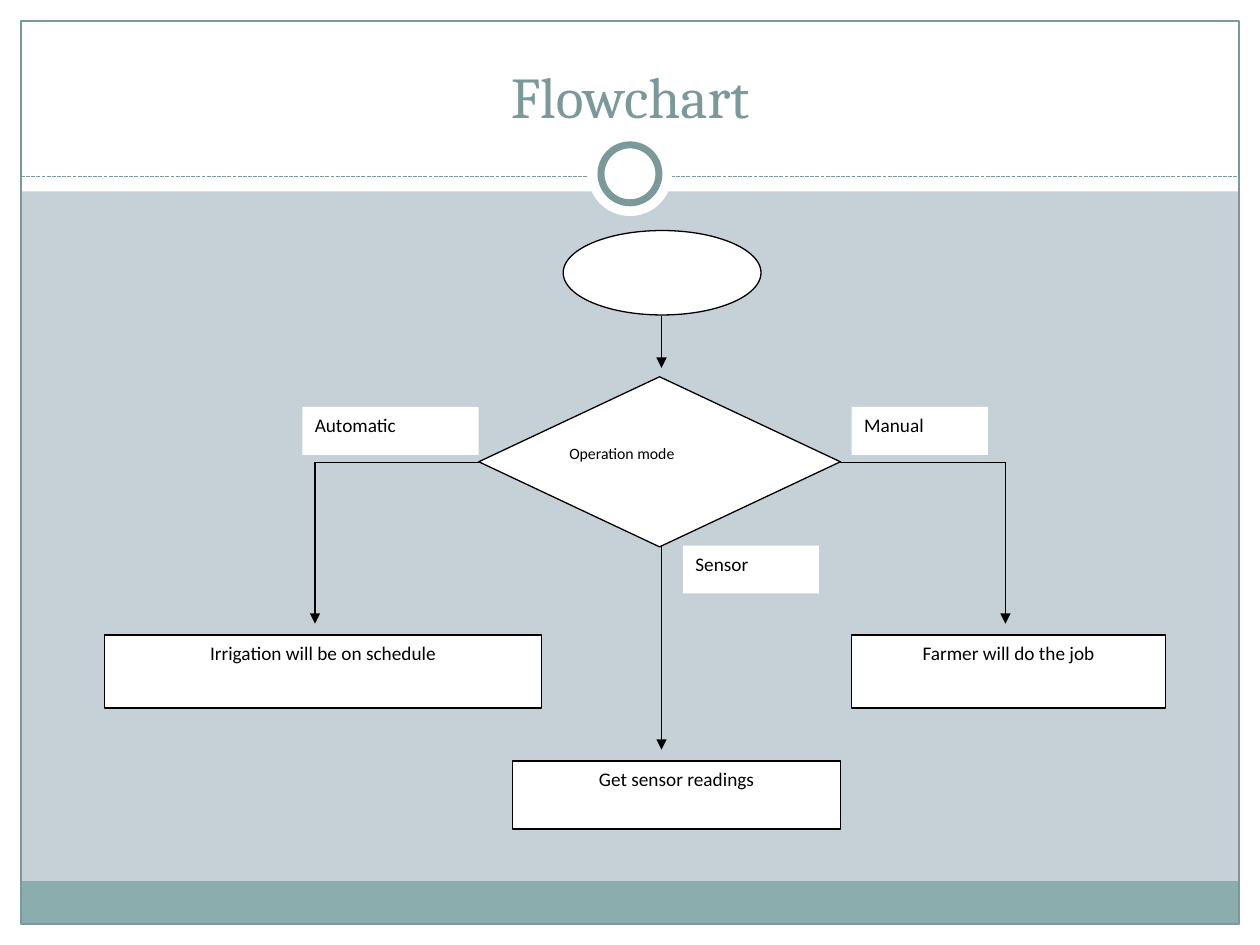
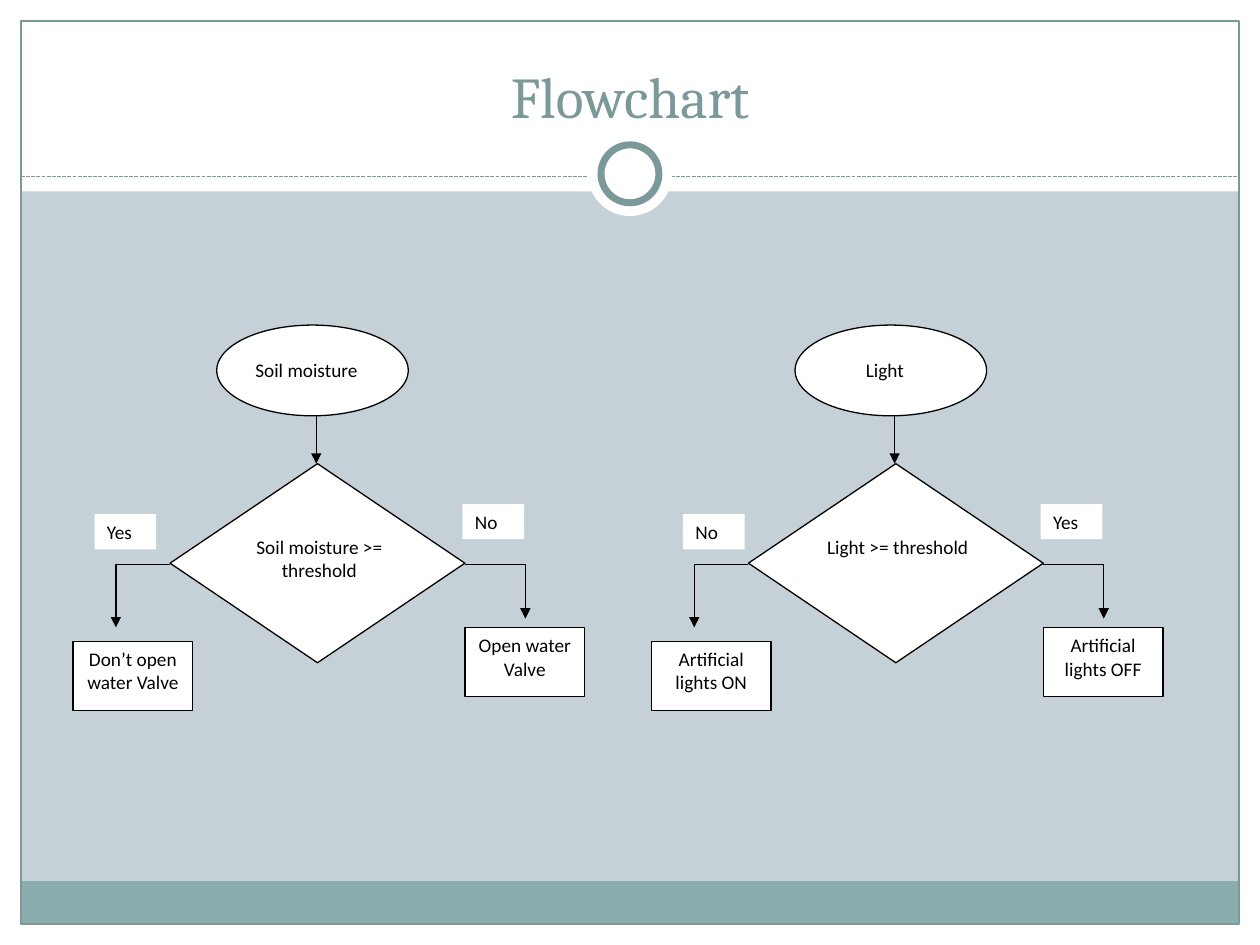
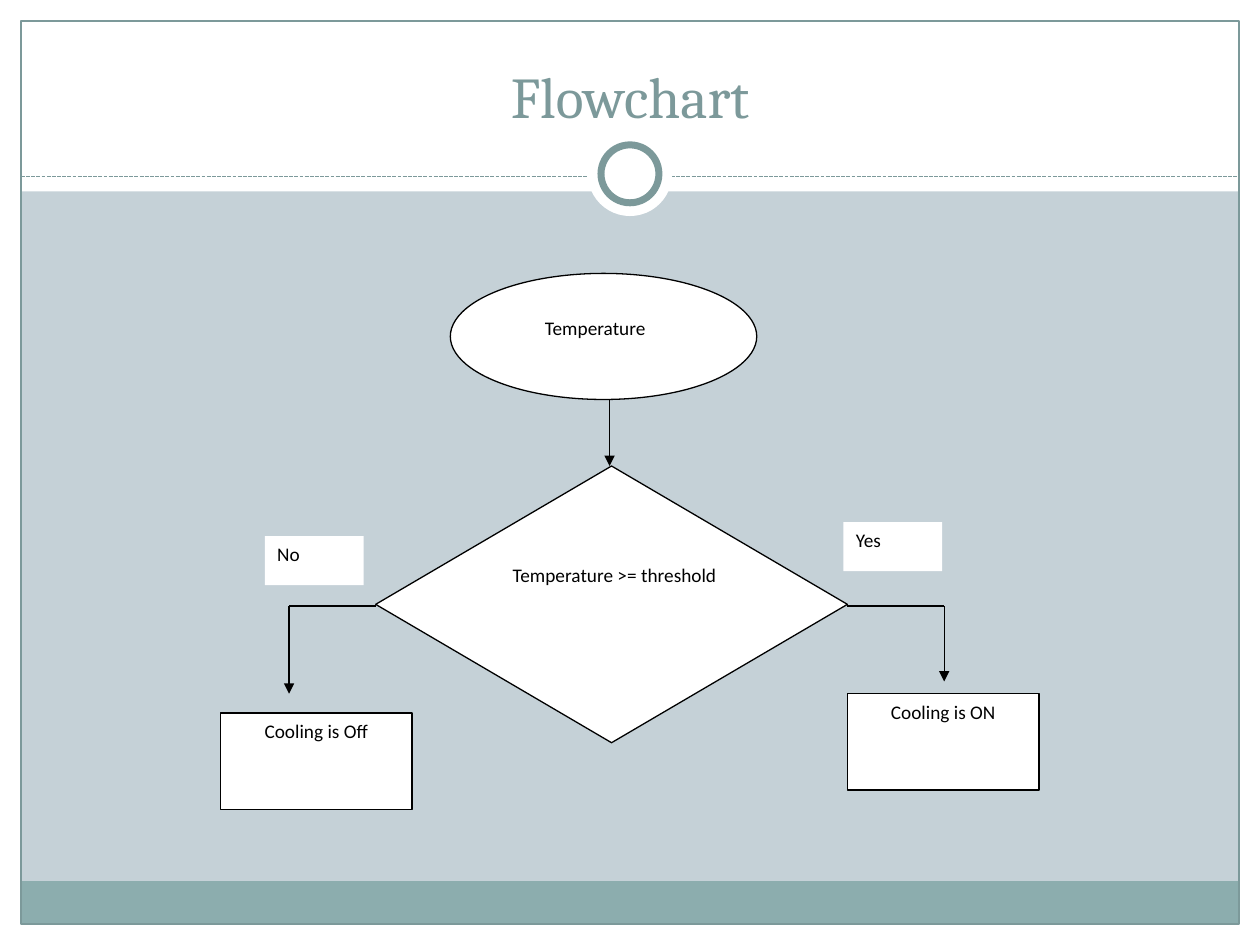
from lxml import etree
from pptx import Presentation, util as u
from pptx.dml import color
from pptx.enum import dml, shapes, text
from pptx.oxml import ns

# Slide size and shared look
WIDTH, HEIGHT = 10, 7.5
EDGE = WIDTH / 60
HEADER = 1.52
RULE_Y = 1.4
WHITE, BLACK = "FFFFFF", "000000"
GREY_BLUE, TEAL, DARK_TEAL = "C5D1D7", "8CADAE", "7C999A"
BODY_FONT, TITLE_FONT = "Calibri", "Cambria"

KIND = shapes.MSO_SHAPE
ALIGN = text.PP_ALIGN
ANCHOR = text.MSO_ANCHOR


def rgb(code):
    return color.RGBColor.from_string(code)


# Kinds of element
def write(shape, words, size=11, font=BODY_FONT, ink=BLACK, align=ALIGN.CENTER,
          anchor=ANCHOR.TOP, after=10):
    frame = shape.text_frame
    frame.word_wrap = True
    frame.vertical_anchor = anchor
    paragraph = frame.paragraphs[0]
    paragraph.alignment = align
    paragraph.space_after = u.Pt(after)
    run = paragraph.add_run()
    run.text = words
    run.font.size, run.font.name = u.Pt(size), font
    run.font.color.rgb = rgb(ink)


def block(slide, box, kind=KIND.RECTANGLE, fill=WHITE, line=None, weight=0.75):
    shape = slide.shapes.add_shape(kind, *(u.Inches(length) for length in box))
    shape.shadow.inherit = False
    if fill:
        shape.fill.solid()
        shape.fill.fore_color.rgb = rgb(fill)
    else:
        shape.fill.background()
    if line:
        shape.line.color.rgb = rgb(line)
        shape.line.width = u.Pt(weight)
    else:
        shape.line.fill.background()
    return shape


def link(slide, start, end, ink=BLACK, arrow=False, dash=None):
    connector = slide.shapes.add_connector(
        shapes.MSO_CONNECTOR.STRAIGHT,
        *(u.Inches(length) for length in (*start, *end)))
    connector.line.color.rgb = rgb(ink)
    connector.line.width = u.Pt(0.75)
    if dash:
        connector.line.dash_style = dash
    if arrow:
        outline = connector.line._get_or_add_ln()
        etree.SubElement(outline, ns.qn("a:tailEnd"), type="triangle")
    etree.SubElement(connector._element.spPr, ns.qn("a:effectLst"))


def label(slide, box, words, **text_format):
    write(block(slide, box), words, **text_format)


def outcome(slide, box, words):
    write(block(slide, box, line=BLACK), words)


def branch(slide, corner, turn_x, end_y):
    """Run sideways from a corner of the diamond, then down to an arrowhead."""
    turn = (turn_x, corner[1])
    link(slide, corner, turn)
    link(slide, turn, (turn_x, end_y), arrow=True)


# Frame and title that every slide carries
def ring(slide, size, **look):
    center_y = 1.38
    block(slide, (WIDTH / 2 - size / 2, center_y - size / 2, size, size),
          KIND.OVAL, **look)


def new_slide(prs, title):
    slide = prs.slides.add_slide(prs.slide_layouts[6])
    inner_w, inner_h = WIDTH - 2 * EDGE, HEIGHT - 2 * EDGE
    footer_h = 0.34
    for band in ((0, HEIGHT - EDGE, WIDTH, EDGE), (0, 0, WIDTH, HEADER),
                 (0, 0, EDGE, HEIGHT), (WIDTH - EDGE, 0, EDGE, HEIGHT)):
        block(slide, band)
    block(slide, (EDGE, HEIGHT - EDGE - footer_h, inner_w, footer_h), fill=TEAL)
    block(slide, (EDGE, EDGE, inner_w, inner_h), fill=None, line=DARK_TEAL)
    link(slide, (EDGE, RULE_Y), (WIDTH - EDGE, RULE_Y), ink=DARK_TEAL,
         dash=dml.MSO_LINE.SQUARE_DOT)
    ring(slide, 0.67)
    ring(slide, 0.46, line=DARK_TEAL, weight=4)
    heading = slide.shapes.add_textbox(
        *(u.Inches(n) for n in (2 * EDGE, 0.25, WIDTH - 4 * EDGE, 0.83)))
    write(heading, title, size=33, font=TITLE_FONT, ink=DARK_TEAL,
          anchor=ANCHOR.BOTTOM, after=0)
    return slide


# Operation mode: three ways out of one decision
def mode_chart(slide):
    stem_x, corner_y = 5.25, 3.67
    block(slide, (4.47, 1.83, 1.57, 0.67), KIND.OVAL, line=BLACK)
    link(slide, (stem_x, 2.51), (stem_x, 2.92), arrow=True)
    block(slide, (3.8, 2.99, 2.87, 1.35), KIND.DIAMOND, line=BLACK)
    label(slide, (4.42, 3.47, 1.64, 0.42), "Operation mode", size=9,
          align=ALIGN.LEFT)
    branch(slide, (3.8, corner_y), 2.5, 4.95)
    branch(slide, (6.67, corner_y), 7.98, 4.95)
    link(slide, (stem_x, 4.33), (stem_x, 5.95), arrow=True)
    for x, y, width, mode in ((6.76, 3.23, 1.08, "Manual"),
                              (5.42, 4.33, 1.08, "Sensor"),
                              (2.4, 3.23, 1.4, "Automatic")):
        label(slide, (x, y, width, 0.38), mode, align=ALIGN.LEFT)
    outcome(slide, (6.76, 5.04, 2.49, 0.58), "Farmer will do the job")
    outcome(slide, (0.83, 5.04, 3.47, 0.58), "Irrigation will be on schedule")
    outcome(slide, (4.07, 6.04, 2.6, 0.54), "Get sensor readings")


# Threshold check: one drawing, placed and stretched as needed
def threshold_chart(slide, origin, reading, question, left, right,
                    left_label_x, stretch=(1, 1)):
    """left and right are pairs of answer and outcome."""
    def at(x, y):
        return origin[0] + x * stretch[0], origin[1] + y * stretch[1]

    def area(x, y, width, height):
        return (*at(x, y), width * stretch[0], height * stretch[1])

    block(slide, area(1.14, 0, 1.52, 0.72), KIND.OVAL, line=BLACK)
    label(slide, area(1.25, 0.21, 1.24, 0.31), reading)
    link(slide, at(1.93, 0.72), at(1.93, 1.1), arrow=True)
    block(slide, area(0.77, 1.1, 2.34, 1.58), KIND.DIAMOND, line=BLACK)
    label(slide, area(1.25, 1.62, 1.41, 0.5), question)

    sides = ((left, 0.77, 0.34, 2.4, 0, (left_label_x, 1.5)),
             (right, 3.11, 3.59, 2.33, 3.11, (3.09, 1.42)))
    for (answer, result), corner_x, turn_x, end_y, box_x, answer_at in sides:
        turn_x, arrow_y = at(turn_x, end_y)
        branch(slide, at(corner_x, 1.9), turn_x, arrow_y)
        gap = 0.11 if box_x == 0 else 0.07
        outcome(slide, area(box_x, end_y + gap, 0.95, 0.55), result)
        label(slide, area(*answer_at, 0.49, 0.28), answer, align=ALIGN.LEFT)


def main():
    prs = Presentation()
    prs.slide_width, prs.slide_height = u.Inches(WIDTH), u.Inches(HEIGHT)
    backdrop = prs.slide_master.background.fill
    backdrop.solid()
    backdrop.fore_color.rgb = rgb(GREY_BLUE)
    modes, soil_and_light, temperature = (
        new_slide(prs, "Flowchart") for _ in range(3))

    mode_chart(modes)
    threshold_chart(soil_and_light, (0.58, 2.58), "Soil moisture ",
                    "Soil moisture >= threshold",
                    ("Yes", "Don’t open water Valve"),
                    ("No", "Open water Valve"), left_label_x=0.17)
    threshold_chart(soil_and_light, (5.17, 2.58), "Light ",
                    "Light >= threshold", ("No", "Artificial lights ON"),
                    ("Yes", "Artificial lights OFF"), left_label_x=0.25)
    threshold_chart(temperature, (1.75, 2.17), "Temperature ",
                    "Temperature >= threshold", ("No", "Cooling is Off"),
                    ("Yes", "Cooling is ON"), left_label_x=0.22,
                    stretch=(1.6, 1.39))
    prs.save("out.pptx")


main()
